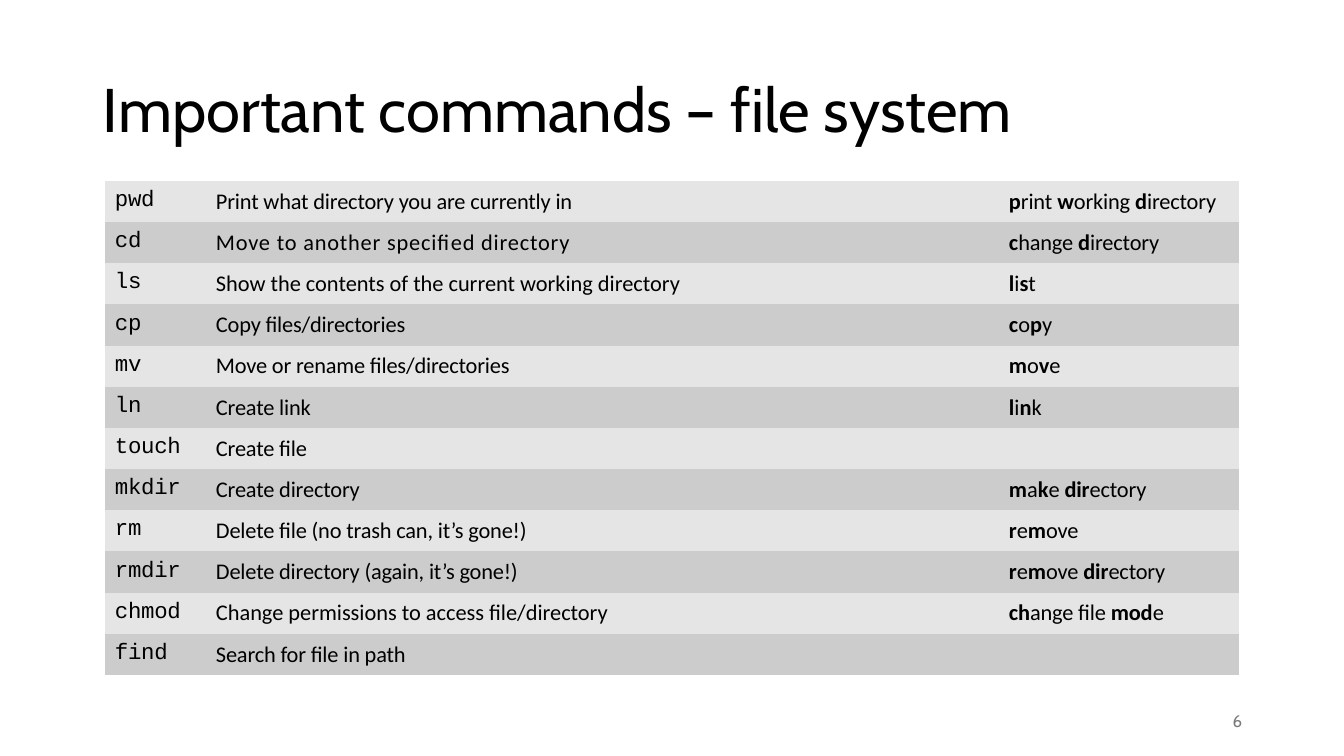
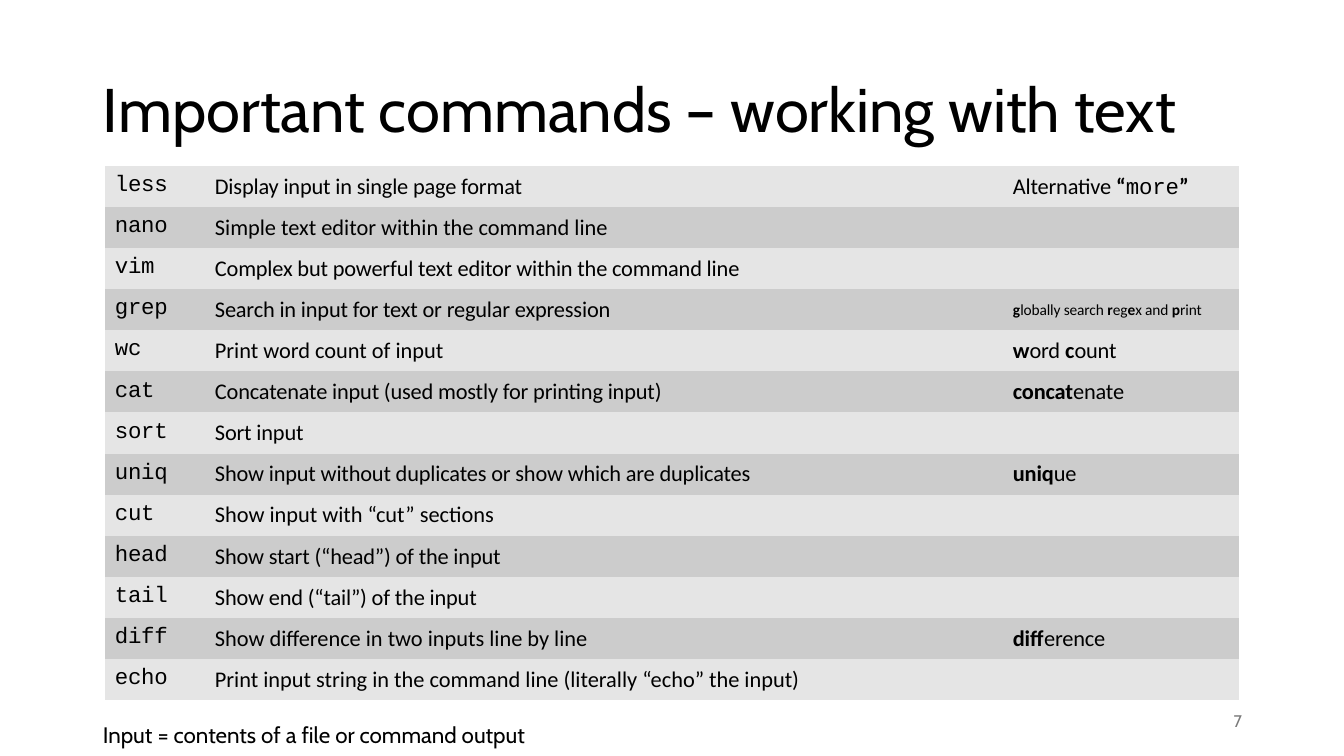
"""Builds two slides that list important shell commands."""
from dataclasses import dataclass
from typing import NamedTuple

from pptx import Presentation
from pptx.dml.color import RGBColor
from pptx.enum.text import MSO_ANCHOR, PP_ALIGN
from pptx.oxml.ns import qn
from pptx.util import Pt

LEFT, RIGHT = PP_ALIGN.LEFT, PP_ALIGN.RIGHT
TOP, MIDDLE = MSO_ANCHOR.TOP, MSO_ANCHOR.MIDDLE
WIDE, HIGH = 1344, 756
SCALE = 12192000 / WIDE
NO_GRID = "{2D5ABB26-0587-4C30-8999-92F81FD0307C}"


@dataclass(frozen=True)
class Theme:
    ink: str = "000000"
    muted: str = "797979"
    bands: tuple = ("E5E5E5", "CCCCCC")
    head: str = "Cabin"
    body: str = "Calibri"
    code: str = "Courier New"
    title: int = 44
    text: int = 16
    small: int = 11
    foot: int = 12


THEME = Theme()


class Row(NamedTuple):
    name: str
    text: str
    memo: str = ""
    gap: int = -10
    size: int = THEME.text


FILES = [
    Row("pwd", "Print what directory you are currently in",
        "*p*rint *w*orking *d*irectory"),
    Row("cd", "Move to another specified directory", "*c*hange *d*irectory", 60),
    Row("ls", "Show the contents of the current working directory", "*l*i*s*t", 0),
    Row("cp", "Copy files/directories", "*c*o*p*y"),
    Row("mv", "Move or rename files/directories", "*m*o*v*e"),
    Row("ln", "Create link", "*l*i*n*k"),
    Row("touch", "Create file"),
    Row("mkdir", "Create directory", "*m*a*k*e *dir*ectory"),
    Row("rm", "Delete file (no trash can, it’s gone!)", "*r*e*m*ove"),
    Row("rmdir", "Delete directory (again, it’s gone!)", "*r*e*m*ove *dir*ectory"),
    Row("chmod", "Change permissions to access file/directory",
        "*ch*ange file *mod*e", 0),
    Row("find", "Search for file in path"),
]

WORDS = [
    Row("less", "Display input in single page format", "Alternative *“*`more`*”*"),
    Row("nano", "Simple text editor within the command line", gap=0),
    Row("vim", "Complex but powerful text editor within the command line"),
    Row("grep", "Search in input for text or regular expression",
        "*g*lobally search *r*eg*e*x and *p*rint", size=THEME.small),
    Row("wc", "Print word count of input", "*w*ord *c*ount", 0),
    Row("cat", "Concatenate input (used mostly for printing input)",
        "*concat*enate"),
    Row("sort", "Sort input"),
    Row("uniq", "Show input without duplicates or show which are duplicates",
        "*uniq*ue"),
    Row("cut", "Show input with “cut” sections", gap=0),
    Row("head", "Show start (“head”) of the input"),
    Row("tail", "Show end (“tail”) of the input"),
    Row("diff", "Show difference in two inputs line by line", "*diff*erence", 0),
    Row("echo",
        "Print input string in the command line (literally “echo” the input)",
        gap=0),
]


def px(size):
    """Turn px into EMU."""
    return round(size * SCALE)


class Deck:
    """Holds the theme and the current slide."""

    def __init__(self, theme):
        self.theme = theme
        self.show = Presentation()
        self.show.slide_width, self.show.slide_height = px(WIDE), px(HIGH)
        self.slide = None

    def start(self, title, number):
        """Add a slide with its title and number."""
        look = self.theme
        self.slide = self.show.slides.add_slide(self.show.slide_layouts[6])
        head = self.label(title, (93, 40, 1159, 146), look.title, anchor=MIDDLE)
        head.line_spacing = 0.9
        self.label(str(number), (950, 701, 302, 40), look.foot, look.muted,
                   RIGHT, MIDDLE)

    def run(self, para, text, font, size, color=None, bold=False, gap=0):
        """Add one styled run."""
        part = para.add_run()
        part.text = text
        part.font.name, part.font.size, part.font.bold = font, Pt(size), bold
        part.font.color.rgb = RGBColor.from_string(color or self.theme.ink)
        if gap:
            part.font._element.set("spc", str(gap))

    def label(self, text, box, size, color=None, align=LEFT, anchor=TOP, wrap=True):
        """Add a text box and return its paragraph."""
        frame = self.slide.shapes.add_textbox(*map(px, box)).text_frame
        frame.word_wrap, frame.vertical_anchor = wrap, anchor
        para = frame.paragraphs[0]
        para.alignment = align
        self.run(para, text, self.theme.head, size, color)
        return para

    def memo(self, para, text, size):
        """Add runs where stars mark bold and backticks mark code."""
        look = self.theme
        for i, part in enumerate(text.split("*")):
            for j, bit in enumerate(part.split("`")):
                if bit:
                    self.run(para, bit, look.code if j % 2 else look.body,
                             size, bold=i % 2 == 1, gap=-10)

    def table(self, rows, top, high, cols, pads):
        """Add a banded table of commands."""
        look = self.theme
        frame = self.slide.shapes.add_table(
            len(rows), len(cols), px(105), px(top), px(sum(cols)), px(high))
        for style in frame._element.iter(qn("a:tableStyleId")):
            style.text = NO_GRID
        grid = frame.table
        grid.first_row = grid.horz_banding = False
        for col, wide in zip(grid.columns, cols):
            col.width = px(wide)
        for i, row in enumerate(rows):
            grid.rows[i].height = px(high / len(rows))
            cells = list(grid.rows[i].cells)
            for cell, pad in zip(cells, pads):
                cell.margin_left, cell.margin_top = px(pad), px(7)
                cell.margin_right = cell.margin_bottom = 0
                cell.fill.solid()
                cell.fill.fore_color.rgb = RGBColor.from_string(look.bands[i % 2])
            cells[2].margin_top = px(7 + round((look.text - row.size) * 0.8))
            name, text, memo = (c.text_frame.paragraphs[0] for c in cells)
            self.run(name, row.name, look.code, look.text, gap=-20)
            self.run(text, row.text, look.body, look.text, gap=row.gap)
            self.memo(memo, row.memo, row.size)


def main():
    """Build and save the deck."""
    deck = Deck(THEME)
    deck.start("Important commands – file system", 6)
    deck.table(FILES, 181, 494, (96, 759, 279), (10, 15, 49))
    deck.start("Important commands – working with text", 7)
    deck.table(WORDS, 166, 534, (90, 783, 261), (10, 20, 35))
    deck.label("Input = contents of a file or command output",
               (93, 716, 454, 37), THEME.text, wrap=False)
    deck.show.save("out.pptx")


if __name__ == "__main__":
    main()
